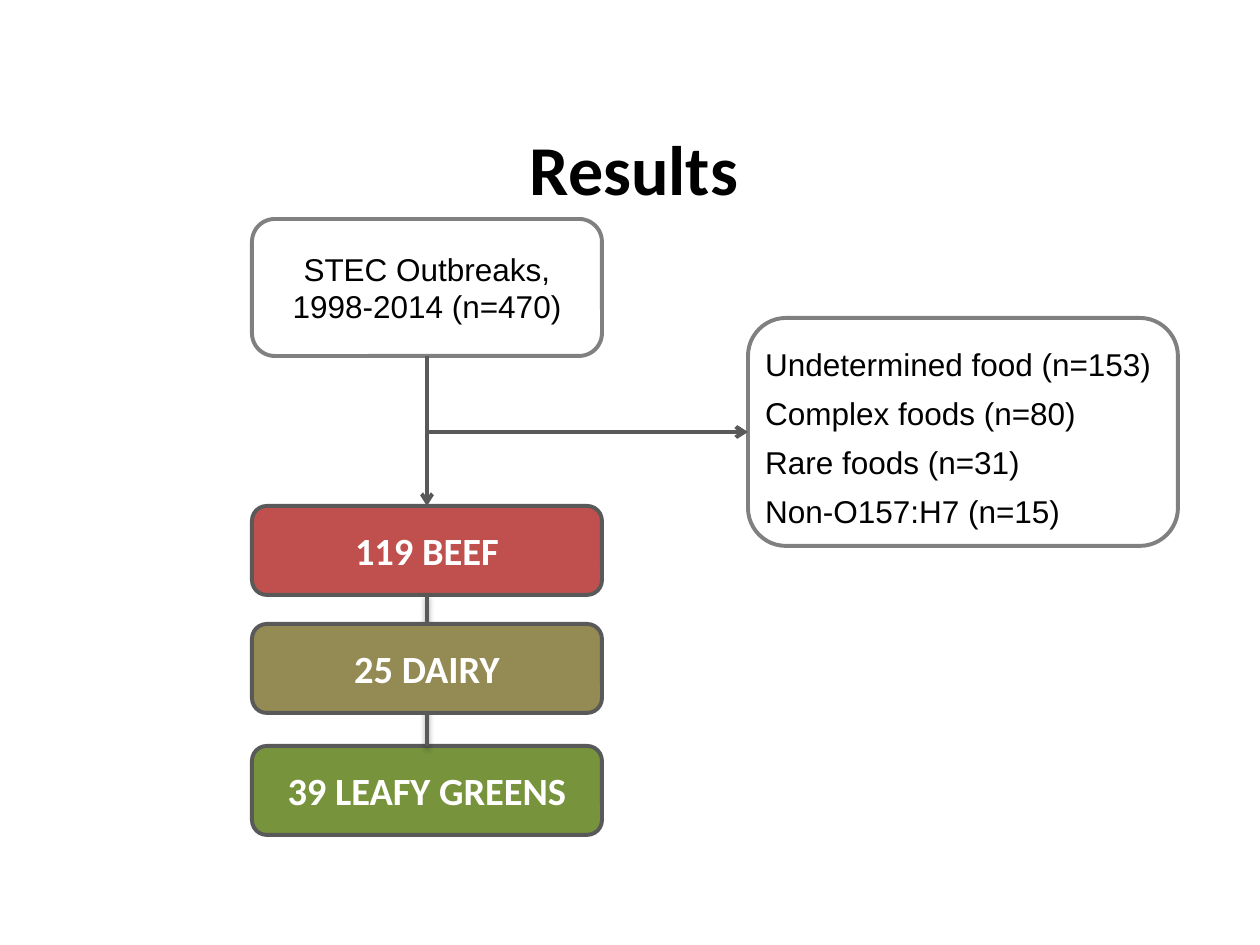
from lxml import etree
from pptx import Presentation
from pptx.dml.color import RGBColor
from pptx.enum.shapes import MSO_CONNECTOR, MSO_SHAPE
from pptx.enum.text import MSO_ANCHOR, PP_ALIGN
from pptx.oxml.ns import qn
from pptx.util import Pt

EMU_PER_PX = 914400 / 126
ROUNDED = MSO_SHAPE.ROUNDED_RECTANGLE
STRAIGHT = MSO_CONNECTOR.STRAIGHT
MIDDLE = MSO_ANCHOR.MIDDLE
CENTER, LEFT = PP_ALIGN.CENTER, PP_ALIGN.LEFT
TOP_SIDE, LEFT_SIDE, BOTTOM_SIDE = 0, 1, 2

BLACK = RGBColor(0x00, 0x00, 0x00)
WHITE = RGBColor(0xFF, 0xFF, 0xFF)
GRAY = RGBColor(0x80, 0x80, 0x80)
DARK_GRAY = RGBColor(0x59, 0x59, 0x59)
BEEF_RED = RGBColor(0xC0, 0x50, 0x4D)
DAIRY_TAN = RGBColor(0x94, 0x8A, 0x54)
GREENS_GREEN = RGBColor(0x77, 0x93, 0x3C)


def px(length):
    return round(length * EMU_PER_PX)


def write_text(shape, lines, font, size, color, bold=False, align=CENTER,
               spacing=1.0, insets=(6, 3)):
    frame = shape.text_frame
    frame.word_wrap = True
    frame.vertical_anchor = MIDDLE
    frame.margin_left = frame.margin_right = px(insets[0])
    frame.margin_top = frame.margin_bottom = px(insets[1])
    for index, line in enumerate(lines):
        para = frame.add_paragraph() if index else frame.paragraphs[0]
        para.alignment = align
        para.line_spacing = spacing
        span = para.add_run()
        span.text = line
        span.font.name = font
        span.font.size = Pt(size)
        span.font.bold = bold
        span.font.color.rgb = color


def add_title(page, left, top, width, height):
    box = page.shapes.add_textbox(px(left), px(top), px(width), px(height))
    write_text(box, ["Results"], "Calibri", 40, BLACK, bold=True)


def add_rounded_box(page, left, top, width, height, fill, outline):
    box = page.shapes.add_shape(ROUNDED, px(left), px(top), px(width), px(height))
    box.shadow.inherit = False
    box.fill.solid()
    box.fill.fore_color.rgb = fill
    box.line.color.rgb = outline
    box.line.width = Pt(2.25)
    return box


def add_count_box(page, left, top, width, height, lines, **style):
    box = add_rounded_box(page, left, top, width, height, WHITE, GRAY)
    write_text(box, lines, "Arial", 18, BLACK, **style)
    return box


def add_food_box(page, left, top, width, height, label, fill):
    box = add_rounded_box(page, left, top, width, height, fill, DARK_GRAY)
    write_text(box, [label], "Calibri", 22, WHITE, bold=True, insets=(20, 10))
    return box


def add_line(page, start, end, width=2.25, arrow=True, shadow=False):
    line = page.shapes.add_connector(STRAIGHT, *map(px, start + end))
    line.line.color.rgb = DARK_GRAY
    line.line.width = Pt(width)
    properties = line._element.spPr
    if arrow:
        etree.SubElement(properties.find(qn("a:ln")), qn("a:tailEnd"), type="arrow")
    effects = etree.SubElement(properties, qn("a:effectLst"))
    if shadow:
        outer = etree.SubElement(effects, qn("a:outerShdw"), blurRad="40000",
                                 dist="20000", dir="5400000", rotWithShape="0")
        color = etree.SubElement(outer, qn("a:srgbClr"), val="000000")
        etree.SubElement(color, qn("a:alpha"), val="38000")
    return line


def add_flowchart(page, left, top):
    column_width, food_height = 350, 89
    middle = left + column_width // 2
    beef_top, dairy_top, greens_top = top + 287, top + 405, top + 527
    excluded_left, branch_y = left + 496, top + 213

    # All outbreaks and those excluded
    outbreaks = add_count_box(page, left, top, column_width, 137,
                              ["STEC Outbreaks, 1998-2014 (n=470)"])
    excluded = add_count_box(
        page, excluded_left, branch_y - 114, 430, 228,
        ["Undetermined food (n=153)", "Complex foods (n=80)",
         "Rare foods (n=31)", "Non-O157:H7 (n=15)"],
        align=LEFT, spacing=1.3)

    # Arrows from all outbreaks
    down_arrow = add_line(page, (middle, top + 137), (middle, beef_top))
    branch_arrow = add_line(page, (middle - 2, branch_y), (excluded_left, branch_y))

    # Food categories, with the line between them passing behind dairy
    beef = add_food_box(page, left, beef_top, column_width, food_height,
                        "119 BEEF", BEEF_RED)
    greens = add_food_box(page, left, greens_top, column_width, food_height,
                          "39 LEAFY GREENS", GREENS_GREEN)
    food_line = add_line(page, (middle, beef_top + food_height), (middle, greens_top),
                         width=2, arrow=False, shadow=True)
    add_food_box(page, left, dairy_top, column_width, food_height,
                 "25 DAIRY", DAIRY_TAN)

    # Joins
    down_arrow.begin_connect(outbreaks, BOTTOM_SIDE)
    down_arrow.end_connect(beef, TOP_SIDE)
    branch_arrow.end_connect(excluded, LEFT_SIDE)
    food_line.begin_connect(beef, BOTTOM_SIDE)
    food_line.end_connect(greens, TOP_SIDE)


def main():
    deck = Presentation()
    deck.slide_width, deck.slide_height = px(1260), px(945)
    page = deck.slides.add_slide(deck.slide_layouts[6])
    add_title(page, 67, 88, 1134, 158)
    add_flowchart(page, 252, 219)
    deck.save("out.pptx")


if __name__ == "__main__":
    main()
